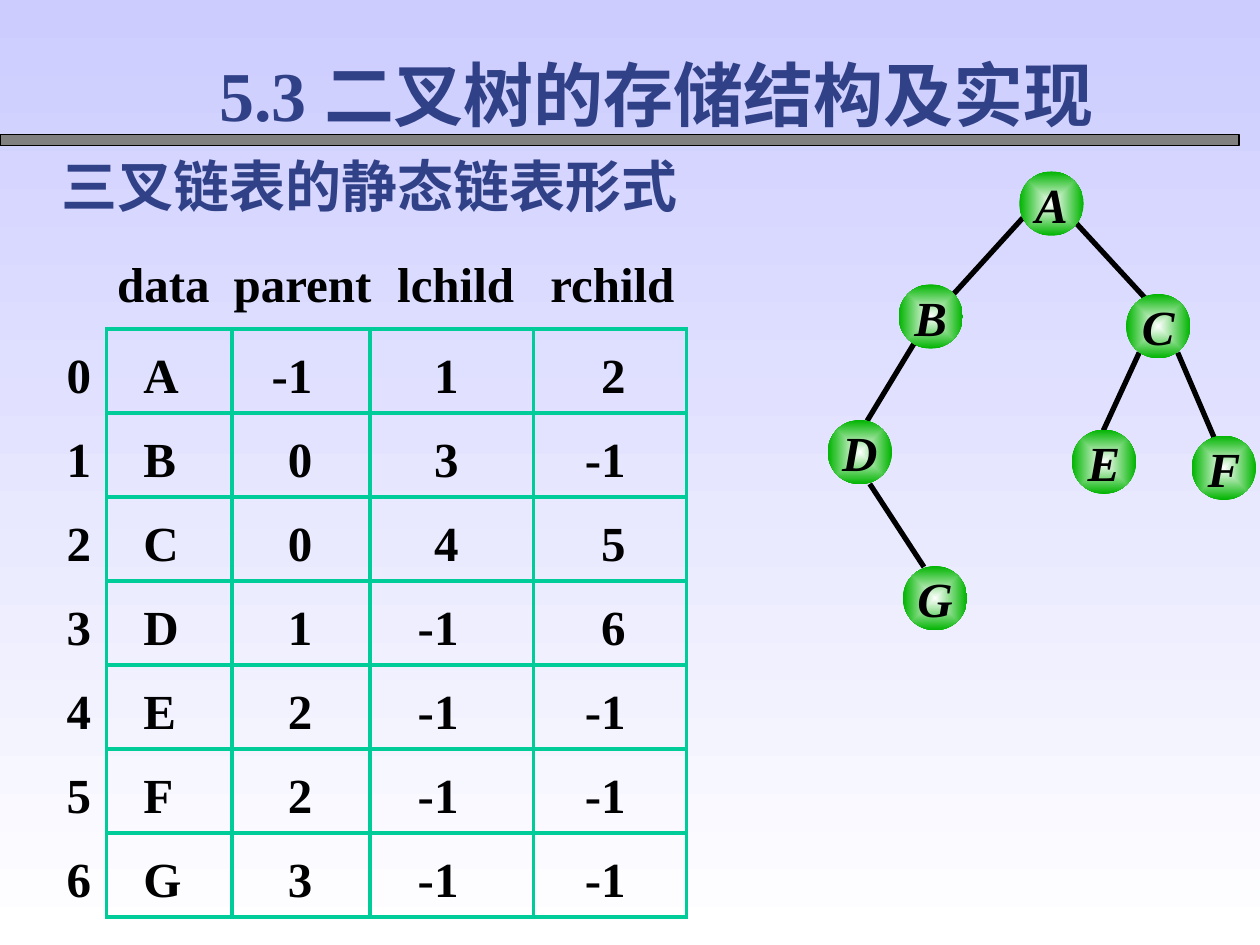
from lxml import etree
from pptx import Presentation
from pptx.dml.color import RGBColor
from pptx.enum.shapes import MSO_CONNECTOR, MSO_SHAPE
from pptx.enum.text import MSO_ANCHOR, MSO_AUTO_SIZE, PP_ALIGN
from pptx.oxml.ns import qn
from pptx.util import Pt

LEFT, RIGHT, CENTER, JUSTIFY = PP_ALIGN.LEFT, PP_ALIGN.RIGHT, PP_ALIGN.CENTER, PP_ALIGN.JUSTIFY
TOP, MIDDLE = MSO_ANCHOR.TOP, MSO_ANCHOR.MIDDLE
FONT = "Times New Roman"
BLACK = RGBColor(0x00, 0x00, 0x00)
WHITE = RGBColor(0xFF, 0xFF, 0xFF)
LAVENDER = RGBColor(0xCC, 0xCC, 0xFF)
NAVY = RGBColor(0x31, 0x41, 0x87)
GRAY = RGBColor(0x80, 0x80, 0x80)
GREEN = RGBColor(0x00, 0xB4, 0x00)
TEAL = RGBColor(0x00, 0xCC, 0x99)
PLAIN_TABLE_STYLE = "{2D5ABB26-0587-4C30-8999-92F81FD0307C}"

TITLE = "5.3 二叉树的存储结构及实现"
SUBTITLE = "三叉链表的静态链表形式"
HEADERS = [("data", 67), ("parent", 133.5), ("lchild", 227), ("rchild", 314.5)]
RECORDS = [
    ("A", -1, 1, 2),
    ("B", 0, 3, -1),
    ("C", 0, 4, 5),
    ("D", 1, -1, 6),
    ("E", 2, -1, -1),
    ("F", 2, -1, -1),
    ("G", 3, -1, -1),
]
COLUMNS = [
    (30, RIGHT, 9),
    (71.5, LEFT, 21),
    (79, RIGHT, 33),
    (93.5, RIGHT, 43),
    (87.5, RIGHT, 35),
]
TABLE_LEFT, TABLE_TOP, ROW_HEIGHT = 31, 188, 48
NODES = {
    "A": (582.5, 98),
    "B": (513.5, 162.5),
    "C": (643.5, 168),
    "D": (473, 240),
    "E": (612.5, 245.5),
    "F": (681, 249),
    "G": (516, 323.5),
}
NODE_SIZE = 36.75
BRANCHES = [
    (584.5, 124.5, 544.5, 168.5),
    (614, 126.5, 654.5, 170.5),
    (522.5, 196, 495.5, 240.5),
    (497, 276.5, 528, 324),
    (651, 201.5, 630.5, 246),
    (673, 201.5, 694, 250.5),
]


def points(*lengths):
    return [Pt(length) for length in lengths]


def write(frame, text, size=28, color=BLACK, italic=False, align=LEFT):
    frame.text = text
    para = frame.paragraphs[0]
    para.alignment = align
    font = para.runs[0].font
    font.name, font.size, font.color.rgb = FONT, Pt(size), color
    font.bold, font.italic = True, italic
    return para


def set_margins(frame, left, top, right, bottom):
    frame.margin_left, frame.margin_top = Pt(left), Pt(top)
    frame.margin_right, frame.margin_bottom = Pt(right), Pt(bottom)


def fill_gradient(fill, start, end):
    fill.gradient()
    for stop, color in zip(fill.gradient_stops, (start, end)):
        stop.color.rgb = color


def place_heading(box, bounds, text, size, align, space):
    box.left, box.top, box.width, box.height = points(*bounds)
    frame = box.text_frame
    para = write(frame, text, size, NAVY, align=align)
    frame.auto_size = MSO_AUTO_SIZE.NONE
    frame.vertical_anchor = TOP
    set_margins(frame, 7.2, 3.6, 7.2, 3.6)
    para.space_before = Pt(space)
    para.line_spacing = 1.0
    properties = para._p.get_or_add_pPr()
    properties.set("marL", "0")
    properties.set("indent", "0")
    etree.SubElement(properties, qn("a:buNone"))


def draw_branch(slide, bounds):
    branch = slide.shapes.add_connector(MSO_CONNECTOR.STRAIGHT, *points(*bounds))
    branch.line.color.rgb = BLACK
    branch.line.width = Pt(3)
    etree.SubElement(branch._element.spPr, qn("a:effectLst"))


def draw_node(slide, name, left, top):
    node = slide.shapes.add_shape(MSO_SHAPE.OVAL, *points(left, top, NODE_SIZE, NODE_SIZE))
    node.shadow.inherit = False
    node.line.fill.background()
    fill_gradient(node.fill, WHITE, GREEN)
    gradient = node._element.spPr.find(qn("a:gradFill"))
    gradient.remove(gradient.find(qn("a:lin")))
    burst = etree.SubElement(gradient, qn("a:path"), {"path": "rect"})
    etree.SubElement(burst, qn("a:fillToRect"), dict.fromkeys("ltrb", "50000"))
    frame = node.text_frame
    frame.word_wrap = False
    frame.vertical_anchor = MIDDLE
    set_margins(frame, 0, 0, 0, 0)
    write(frame, name, italic=True, align=CENTER)


def set_borders(cell, sides):
    properties = cell._tc.get_or_add_tcPr()
    for position, side in enumerate("LRTB"):
        border = etree.Element(qn(f"a:ln{side}"), {"w": str(Pt(2.25))})
        if side in sides:
            paint = etree.SubElement(border, qn("a:solidFill"))
            etree.SubElement(paint, qn("a:srgbClr"), {"val": str(TEAL)})
        else:
            etree.SubElement(border, qn("a:noFill"))
        properties.insert(position, border)


def draw_table(slide):
    width = sum(column[0] for column in COLUMNS)
    bounds = points(TABLE_LEFT, TABLE_TOP, width, ROW_HEIGHT * len(RECORDS))
    table = slide.shapes.add_table(len(RECORDS), len(COLUMNS), *bounds).table
    table.first_row = table.horz_banding = False
    table._tbl.tblPr.find(qn("a:tableStyleId")).text = PLAIN_TABLE_STYLE
    for column, (column_width, _, _) in zip(table.columns, COLUMNS):
        column.width = Pt(column_width)
    for row, record in enumerate(RECORDS):
        table.rows[row].height = Pt(ROW_HEIGHT)
        for col, value in enumerate((row, *record)):
            _, align, margin = COLUMNS[col]
            cell = table.cell(row, col)
            cell.fill.background()
            cell.vertical_anchor = MIDDLE
            set_margins(cell, margin if align == LEFT else 0, 7,
                        margin if align == RIGHT else 0, 0)
            write(cell.text_frame, str(value), align=align)
            set_borders(cell, "LRTB" if col else "R")


def main():
    deck = Presentation()
    deck.slide_width, deck.slide_height = points(720, 540)
    slide = deck.slides.add_slide(deck.slide_layouts[1])
    background = slide.background.fill
    fill_gradient(background, LAVENDER, WHITE)
    background.gradient_angle = 270

    title, subtitle = slide.placeholders
    place_heading(title, (118, 26, 555, 55.5), TITLE, 40, JUSTIFY, 25)
    place_heading(subtitle, (28, 83, 397, 46), SUBTITLE, 32, LEFT, 20)

    bar = slide.shapes.add_shape(MSO_SHAPE.RECTANGLE, *points(0, 77, 708, 6))
    bar.shadow.inherit = False
    bar.fill.solid()
    bar.fill.fore_color.rgb = GRAY
    bar.line.color.rgb = BLACK
    bar.line.width = Pt(0.75)

    for bounds in BRANCHES:
        draw_branch(slide, bounds)
    for name, (left, top) in NODES.items():
        draw_node(slide, name, left, top)

    for header, left in HEADERS:
        box = slide.shapes.add_textbox(*points(left, 141, 80, 41))
        box.text_frame.word_wrap = True
        box.text_frame.vertical_anchor = MIDDLE
        set_margins(box.text_frame, 0, 3.6, 0, 3.6)
        write(box.text_frame, header)
    draw_table(slide)
    deck.save("out.pptx")


if __name__ == "__main__":
    main()
